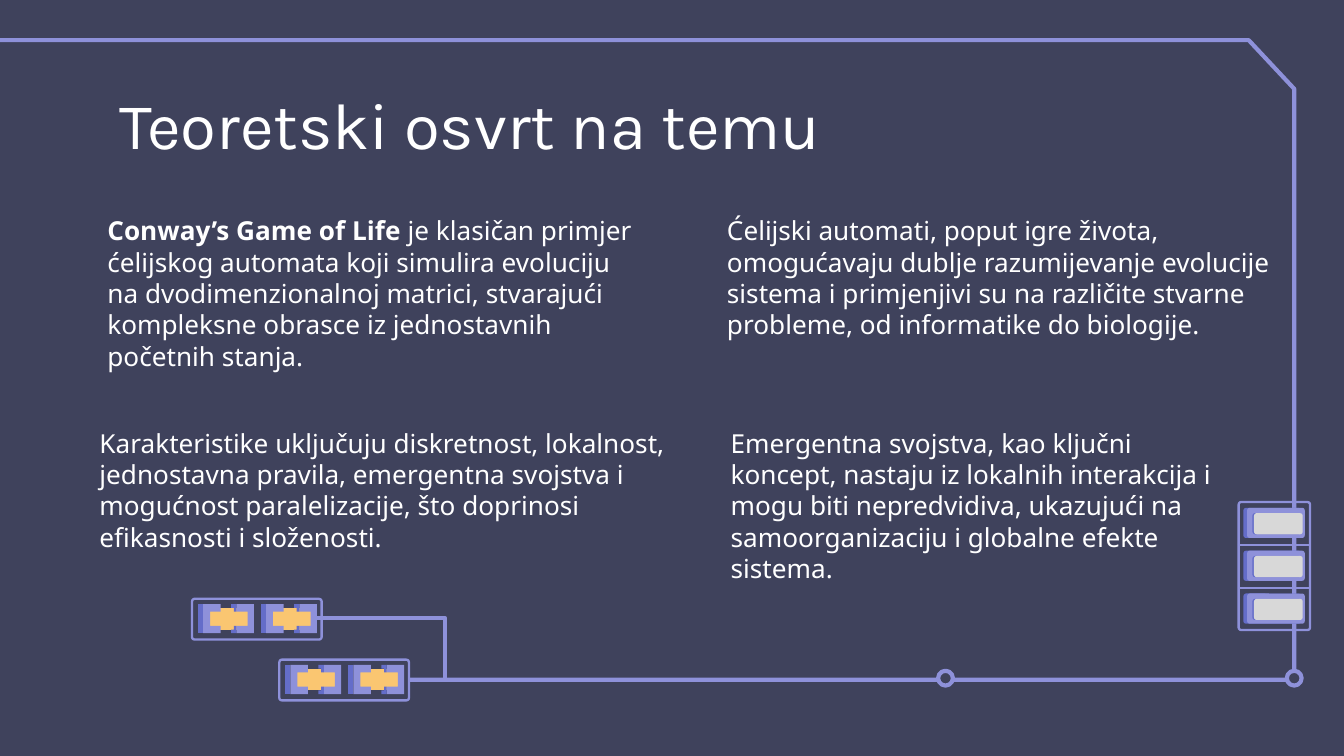
from typing import NamedTuple

from pptx import Presentation
from pptx import util as u
from pptx.dml.color import RGBColor
from pptx.enum import shapes, text

NAVY = RGBColor(0x3F, 0x42, 0x5C)
LILAC = RGBColor(0x8E, 0x91, 0xDA)
INDIGO = RGBColor(0x64, 0x6D, 0xC9)
AMBER = RGBColor(0xFA, 0xC6, 0x71)
SILVER = RGBColor(0xD8, 0xD8, 0xD8)
WHITE = RGBColor(0xFF, 0xFF, 0xFF)

TRACE_PT = 2.25
FRAME_PT = 1.25
CELL_STEP = 1.19
SLOT_STEP = 0.81


class Box(NamedTuple):
    x: float
    y: float
    w: float
    h: float


class Passage(NamedTuple):
    box: Box
    body: str
    lead: str = ""


class Part(NamedTuple):
    points: list[tuple[float, float]]
    color: RGBColor


class Panel(NamedTuple):
    box: Box
    radius: float
    color: RGBColor


PASSAGES = [
    Passage(Box(0.51, 3.81, 11.71, 5.41),
            " je klasičan primjer ćelijskog automata koji simulira evoluciju na "
            "dvodimenzionalnoj matrici, stvarajući kompleksne obrasce iz "
            "jednostavnih početnih stanja.",
            "Conway’s Game of Life"),
    Passage(Box(12.22, 3.81, 12.9, 3.35),
            "Ćelijski automati, poput igre života, omogućavaju dublje razumijevanje "
            "evolucije sistema i primjenjivi su na različite stvarne probleme, od "
            "informatike do biologije."),
    Passage(Box(0.36, 7.82, 12.9, 3.18),
            "Karakteristike uključuju diskretnost, lokalnost, jednostavna pravila, "
            "emergentna svojstva i mogućnost paralelizacije, što doprinosi "
            "efikasnosti i složenosti."),
    Passage(Box(12.29, 7.82, 11.13, 5.41),
            "Emergentna svojstva, kao ključni koncept, nastaju iz lokalnih "
            "interakcija i mogu biti nepredvidiva, ukazujući na samoorganizaciju i "
            "globalne efekte sistema."),
]

CELL = [
    Part([(0.3, 0.19), (1.13, 0.19), (1.13, 0.6), (0.3, 0.6)], AMBER),
    Part([(0.23, 0.12), (0.56, 0.12), (0.56, 0.26), (0.36, 0.26),
          (0.36, 0.53), (0.56, 0.53), (0.56, 0.67), (0.23, 0.67)], LILAC),
    Part([(0.86, 0.12), (1.19, 0.12), (1.19, 0.67), (0.86, 0.67),
          (0.86, 0.53), (1.07, 0.53), (1.07, 0.26), (0.86, 0.26)], LILAC),
    Part([(0.13, 0.12), (0.23, 0.12), (0.23, 0.67), (0.13, 0.67)], INDIGO),
    Part([(0.76, 0.12), (0.86, 0.12), (0.86, 0.26), (0.81, 0.26),
          (0.81, 0.19), (0.76, 0.19)], INDIGO),
    Part([(0.81, 0.53), (0.86, 0.53), (0.86, 0.67), (0.76, 0.67),
          (0.76, 0.6), (0.81, 0.6)], INDIGO),
]

SLOT = [
    Panel(Box(23.5, 9.6, 1.09, 0.57), 0.05, INDIGO),
    Panel(Box(23.57, 9.6, 1.09, 0.57), 0.05, LILAC),
    Panel(Box(23.67, 9.7, 0.92, 0.4), 0.05, INDIGO),
    Panel(Box(23.7, 9.7, 0.92, 0.4), 0.05, SILVER),
]


def cm(values) -> list[int]:
    return [u.Cm(v) for v in values]


def paint(sp, fill: RGBColor | None = None, line: RGBColor | None = None,
          width: float = TRACE_PT) -> None:
    sp.shadow.inherit = False
    if fill is None:
        sp.fill.background()
    else:
        sp.fill.solid()
        sp.fill.fore_color.rgb = fill
    if line is None:
        sp.line.fill.background()
    else:
        sp.line.color.rgb = line
        sp.line.width = u.Pt(width)


def add_outline(s, points: list[tuple[float, float]], close: bool = True, **style) -> None:
    start, *rest = [tuple(cm(point)) for point in points]
    builder = s.shapes.build_freeform(*start)
    builder.add_line_segments(rest, close=close)
    paint(builder.convert_to_shape(), **style)


def add_panel(s, box: Box, radius: float, **style) -> None:
    sp = s.shapes.add_shape(shapes.MSO_SHAPE.ROUNDED_RECTANGLE, *cm(box))
    sp.adjustments[0] = radius / min(box.w, box.h)
    paint(sp, **style)


def add_ring(s, x: float, y: float, size: float = 0.28) -> None:
    box = Box(x - size / 2, y - size / 2, size, size)
    sp = s.shapes.add_shape(shapes.MSO_SHAPE.OVAL, *cm(box))
    paint(sp, fill=NAVY, line=LILAC)


def add_chip(s, x: float, y: float) -> None:
    for column in range(2):
        left = x + column * CELL_STEP
        for part in CELL:
            add_outline(s, [(left + dx, y + dy) for dx, dy in part.points], fill=part.color)
    add_panel(s, Box(x + 0.02, y + 0.02, 2.45, 0.77), 0.05, line=LILAC, width=FRAME_PT)


def add_rack(s) -> None:
    for row in range(3):
        for panel in SLOT:
            box = panel.box._replace(y=panel.box.y + row * SLOT_STEP)
            add_panel(s, box, panel.radius, fill=panel.color)
    add_panel(s, Box(23.41, 9.49, 1.35, 2.42), 0.05, line=LILAC, width=FRAME_PT)
    for row in range(2):
        y = 10.3 + row * SLOT_STEP
        add_outline(s, [(23.39, y), (24.76, y)], close=False, line=LILAC, width=FRAME_PT)


def add_run(p, content: str, *, size: float, font: str, bold: bool = False) -> None:
    r = p.add_run()
    r.text = content
    r.font.size = u.Pt(size)
    r.font.name = font
    r.font.bold = bold
    r.font.color.rgb = WHITE


def set_frame(tf, left: float = 0.25, top: float = 0.25) -> None:
    tf.word_wrap = True
    tf.auto_size = text.MSO_AUTO_SIZE.NONE
    tf.vertical_anchor = text.MSO_ANCHOR.TOP
    tf.margin_left, tf.margin_top = cm((left, top))
    tf.margin_right = tf.margin_bottom = u.Cm(0.25)
    p = tf.paragraphs[0]
    p.alignment = text.PP_ALIGN.LEFT
    p.line_spacing = 1.0
    p.space_before = u.Pt(0)


def set_title(s, content: str) -> None:
    sp = s.shapes.title
    sp.left, sp.top, sp.width, sp.height = cm(Box(2.01, 1.24, 21.41, 1.6))
    set_frame(sp.text_frame, top=0.36)
    add_run(sp.text_frame.paragraphs[0], content, size=35, font="Karla")


def add_passage(s, passage: Passage) -> None:
    tf = s.shapes.add_textbox(*cm(passage.box)).text_frame
    set_frame(tf, left=1.52)
    p = tf.paragraphs[0]
    if passage.lead:
        add_run(p, passage.lead, size=14, font="Noto Sans", bold=True)
    add_run(p, passage.body, size=14, font="Noto Sans")


def main() -> None:
    prs = Presentation()
    prs.slide_width, prs.slide_height = cm((25.4, 14.29))
    s = prs.slides.add_slide(prs.slide_layouts[5])
    s.background.fill.solid()
    s.background.fill.fore_color.rgb = NAVY

    add_outline(s, [(-0.03, 0.76), (23.6, 0.76), (24.46, 1.68), (24.46, 12.85), (7.72, 12.85)],
                close=False, line=LILAC)
    add_chip(s, 5.26, 12.45)
    for x in (24.46, 17.87):
        add_ring(s, x, 12.82)
    add_rack(s)

    set_title(s, "Teoretski osvrt na temu")
    for passage in PASSAGES:
        add_passage(s, passage)

    add_outline(s, [(5.84, 11.68), (8.41, 11.68), (8.41, 12.85)], close=False, line=LILAC)
    add_chip(s, 3.61, 11.3)
    prs.save("out.pptx")


if __name__ == "__main__":
    main()
